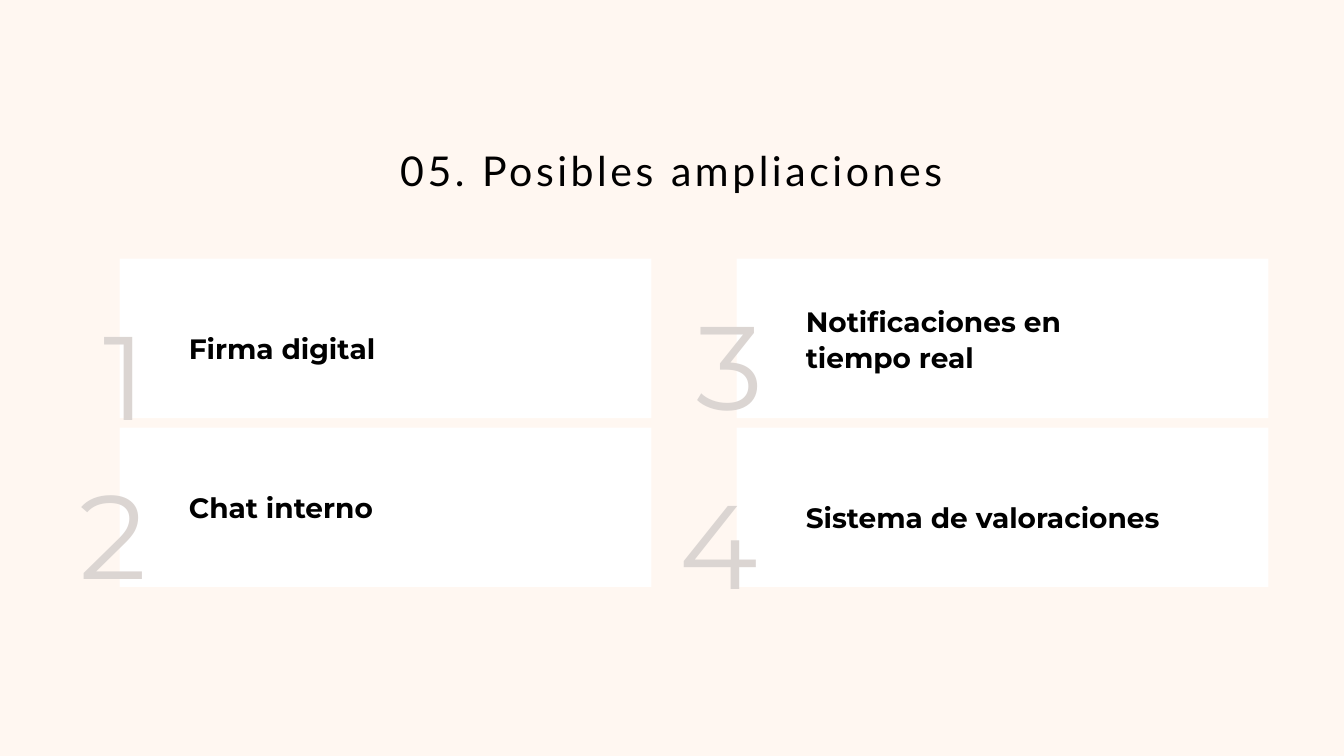
from pptx import Presentation
from pptx.dml.color import RGBColor
from pptx.enum.shapes import MSO_SHAPE
from pptx.enum.text import MSO_ANCHOR, MSO_AUTO_SIZE, PP_ALIGN
from pptx.util import Pt

CREAM = RGBColor(0xFF, 0xF7, 0xF1)
WHITE = RGBColor(0xFF, 0xFF, 0xFF)
BLACK = RGBColor(0, 0, 0)
GREY = RGBColor(0xDB, 0xD5, 0xD2)

CARD_WIDTH, CARD_HEIGHT = 569.7, 170.8
GRID_LEFT, GRID_TOP = 128.2, 277.2
COLUMN_STEP, ROW_STEP = 661.1, 180.9
LABEL_LINE = 36.9

# number, label, label lines, left and top of the number, middle of the label
CARDS = [
    ("1", "Firma digital", 1, -63.4, -59.8, 94.7),
    ("2", "Chat interno", 1, -63.4, -69.8, 84.2),
    ("3", "Notificaciones en tiempo real", 2, -63.4, -69.8, 84.2),
    ("4", "Sistema de valoraciones", 1, -69.1, -59.2, 94.7),
]


def write_text(shape, text, *, font, size, line, color=BLACK, bold=False,
               align=PP_ALIGN.LEFT, tracking=0):
    """Fill a shape with one paragraph; line and tracking are in points."""
    frame = shape.text_frame
    frame.word_wrap = True
    frame.auto_size = MSO_AUTO_SIZE.NONE
    frame.vertical_anchor = MSO_ANCHOR.TOP
    frame.margin_left = frame.margin_right = Pt(0)
    frame.margin_top = frame.margin_bottom = Pt(0)
    paragraph = frame.paragraphs[0]
    paragraph.alignment = align
    paragraph.line_spacing = Pt(line)
    paragraph.space_before = Pt(0)
    run = paragraph.add_run()
    run.text = text
    run.font.name = font
    run.font.size = Pt(size)
    run.font.bold = bold
    run.font.color.rgb = color
    if tracking:
        run._r.get_or_add_rPr().set("spc", str(round(tracking * 100)))


def add_title(slide, left, top, width, height):
    title = slide.shapes.title
    title.left, title.top = Pt(left), Pt(top)
    title.width, title.height = Pt(width), Pt(height)
    write_text(title, "05. Posibles ampliaciones", font="Lato", size=44,
               line=89.3, align=PP_ALIGN.CENTER, tracking=3.8)


def add_card(slide, left, top, card):
    number, label, lines, number_left, number_top, label_middle = card
    panel = slide.shapes.add_shape(MSO_SHAPE.RECTANGLE, Pt(left), Pt(top),
                                   Pt(CARD_WIDTH), Pt(CARD_HEIGHT))
    panel.shadow.inherit = False
    panel.fill.solid()
    panel.fill.fore_color.rgb = WHITE
    panel.line.fill.background()

    label_height = lines * LABEL_LINE
    label_box = slide.shapes.add_textbox(
        Pt(left + 74.1), Pt(top + label_middle - label_height / 2),
        Pt(393.8), Pt(label_height))
    write_text(label_box, label, font="Montserrat", size=30, line=38.1,
               bold=True)

    number_box = slide.shapes.add_textbox(
        Pt(left + number_left), Pt(top + number_top), Pt(92.2), Pt(230.4))
    write_text(number_box, number, font="Montserrat", size=127.2, line=258.2,
               color=GREY, align=PP_ALIGN.RIGHT, tracking=10.9)


def add_card_grid(slide, left, top):
    """Place the cards column by column, two to a column."""
    for index, card in enumerate(CARDS):
        column, row = divmod(index, 2)
        add_card(slide, left + column * COLUMN_STEP, top + row * ROW_STEP, card)


def main():
    presentation = Presentation()
    presentation.slide_width, presentation.slide_height = Pt(1440), Pt(810)
    slide = presentation.slides.add_slide(presentation.slide_layouts[5])
    slide.background.fill.solid()
    slide.background.fill.fore_color.rgb = CREAM
    add_title(slide, 80.6, 118.8, 1278, 79.9)
    add_card_grid(slide, GRID_LEFT, GRID_TOP)
    presentation.save("out.pptx")


if __name__ == "__main__":
    main()
